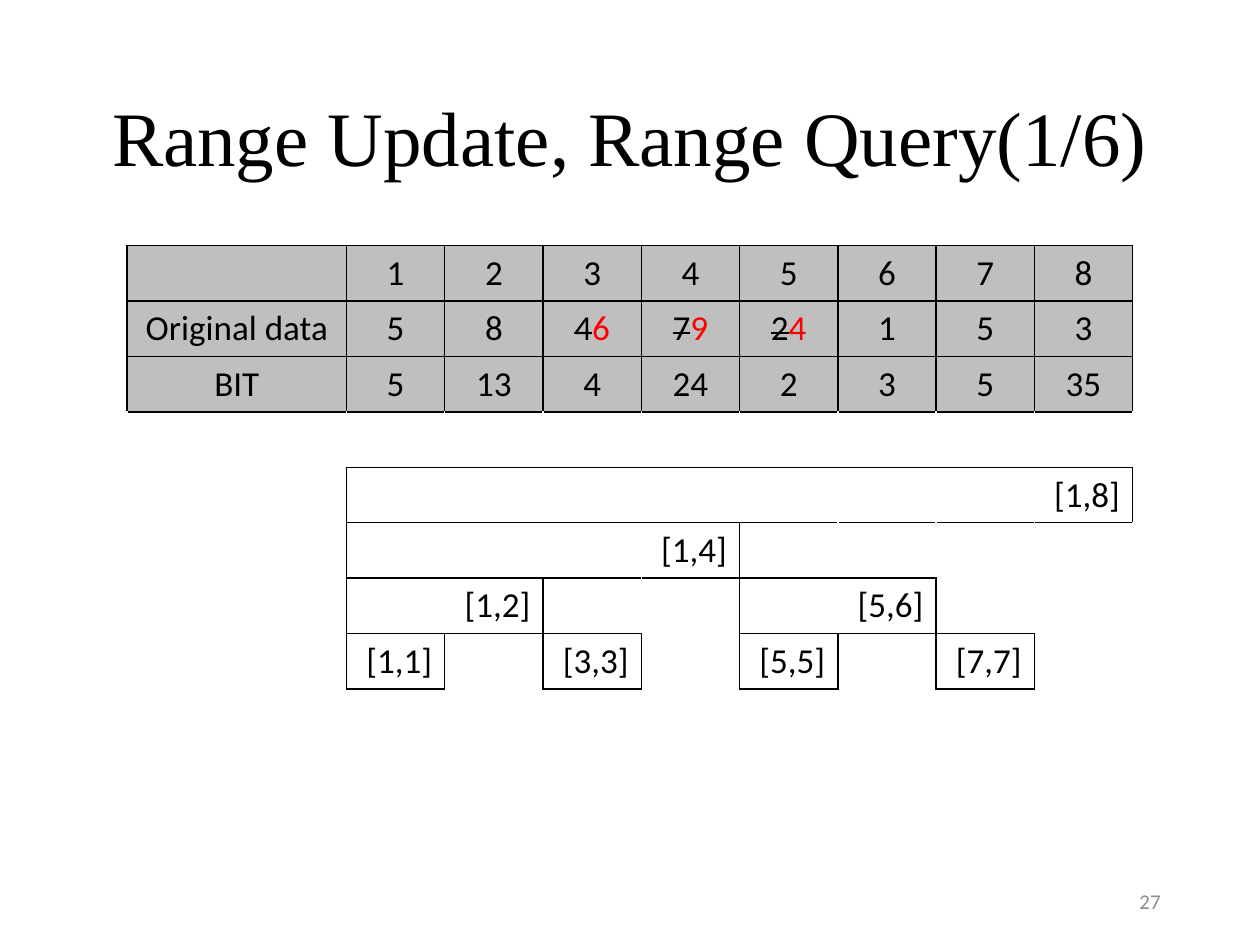
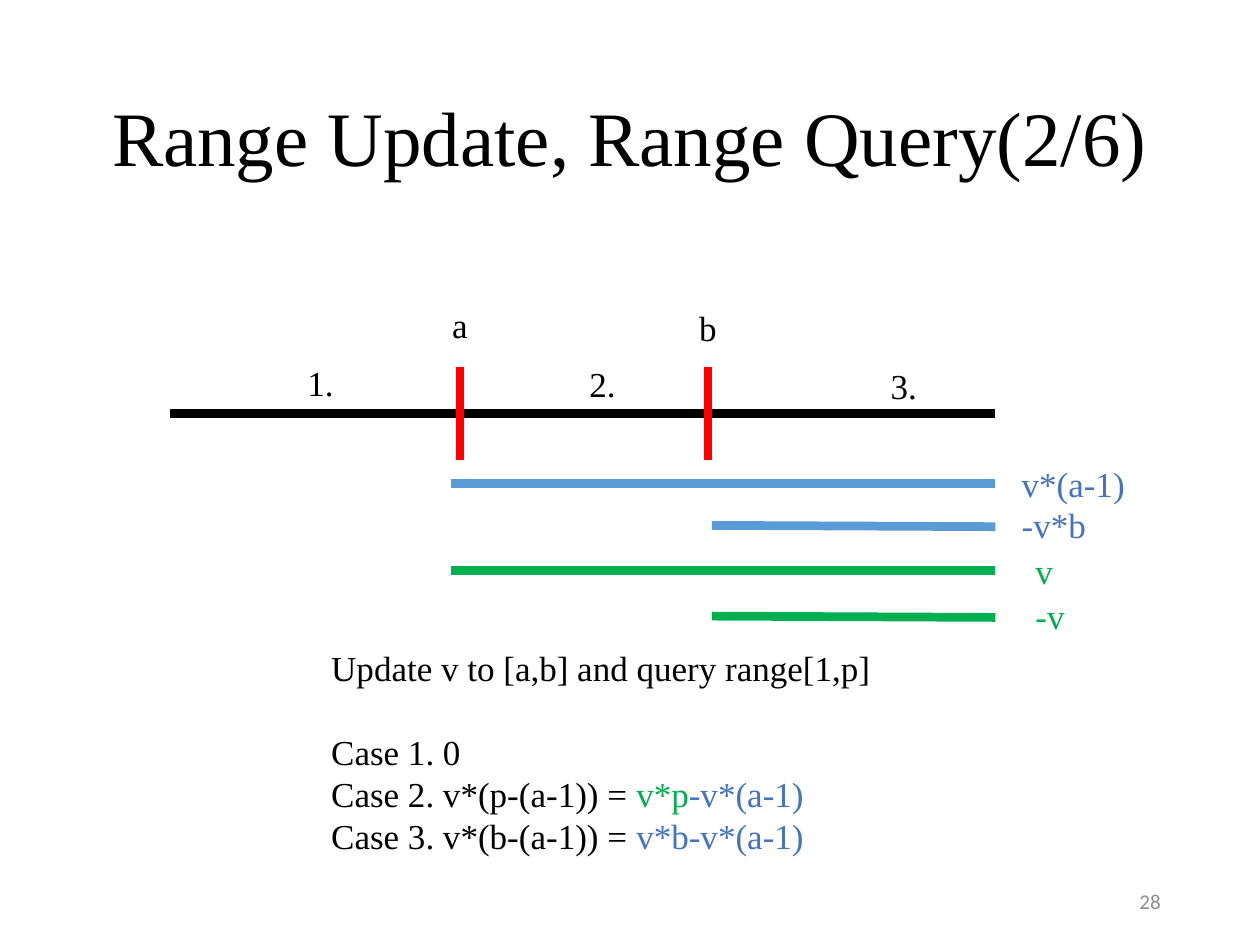
from lxml import etree
from pptx import Presentation
from pptx.dml.color import RGBColor
from pptx.enum.shapes import MSO_CONNECTOR
from pptx.enum.text import MSO_ANCHOR, PP_ALIGN
from pptx.oxml.ns import qn
from pptx.util import Inches, Pt

COLORS = {
    "black": "000000", "white": "FFFFFF", "gray": "BFBFBF", "number": "8C8C8C",
    "red": "FF0000", "sky": "5B9BD5", "blue": "4472C4", "green": "00B050",
}
SERIF, SANS = "Times New Roman", "Calibri"


def add_text(p, text, color="black", size=20, font=SERIF, align=None, strike=False):
    """Append one formatted run to a paragraph."""
    r = p.add_run()
    r.text = text
    r.font.size = Pt(size)
    r.font.name = font
    r.font.color.rgb = RGBColor.from_string(COLORS[color])
    if strike:
        r._r.get_or_add_rPr().set("strike", "sngStrike")
    if align is not None:
        p.alignment = align


def add_border(cell, side, color):
    """Draw one side of a table cell (L, R, T or B)."""
    ln = etree.SubElement(cell._tc.get_or_add_tcPr(), qn(f"a:ln{side}"), w=str(Pt(1)))
    fill = etree.SubElement(ln, qn("a:solidFill"))
    etree.SubElement(fill, qn("a:srgbClr"), val=COLORS[color])


prs = Presentation()
prs.slide_width, prs.slide_height = Inches(10), Inches(7.5)

# Titles and slide numbers
slides = []
for part in (1, 2):
    s = prs.slides.add_slide(prs.slide_layouts[5])
    title = s.shapes.title
    title.left, title.top = Inches(0.69), Inches(0.4)
    title.width, title.height = Inches(8.62), Inches(1.45)
    title.text_frame.vertical_anchor = MSO_ANCHOR.MIDDLE
    p = title.text_frame.paragraphs[0]
    p.line_spacing = 0.9
    add_text(p, f"Range Update, Range Query({part}/6)", size=44, align=PP_ALIGN.CENTER)

    number = s.shapes.add_textbox(Inches(7.06), Inches(6.95), Inches(2.25), Inches(0.4))
    tf = number.text_frame
    tf.word_wrap = True
    tf.vertical_anchor = MSO_ANCHOR.MIDDLE
    add_text(tf.paragraphs[0], str(26 + part), "number", 12, SANS, PP_ALIGN.RIGHT)
    slides.append(s)

# Slide 1: data rows above the tree of intervals
data_rows = [
    ["", "1", "2", "3", "4", "5", "6", "7", "8"],
    ["Original data", "5", "8", "4", "7", "2", "1", "5", "3"],
    ["BIT", "5", "13", "4", "24", "2", "3", "5", "35"],
]
updated = {(1, 3): "6", (1, 4): "9", (1, 5): "4"}
intervals = {
    4: [(1, 8)],
    5: [(1, 4)],
    6: [(1, 2), (5, 6)],
    7: [(1, 1), (3, 3), (5, 5), (7, 7)],
}
n_rows, n_cols = 8, 9
table = slides[0].shapes.add_table(
    n_rows, n_cols, Inches(1.01), Inches(1.95), Inches(7.98), Inches(3.52)).table
table.first_row = table.horz_banding = False
for col in range(n_cols):
    table.columns[col].width = Inches(0.78 if col else 1.74)
for row in table.rows:
    row.height = Inches(0.44)

# Every cell of a data row or an interval is boxed in black
boxed = {(row, col) for row in range(3) for col in range(n_cols)}
for row, spans in intervals.items():
    for first, last in spans:
        boxed.update((row, col) for col in range(first, last + 1))
sides = {"L": (0, -1), "R": (0, 1), "T": (-1, 0), "B": (1, 0)}
for row in range(n_rows):
    for col in range(n_cols):
        cell = table.cell(row, col)
        cell.vertical_anchor = MSO_ANCHOR.MIDDLE
        for side, (down, right) in sides.items():
            edge = {(row, col), (row + down, col + right)}
            add_border(cell, side, "black" if edge & boxed else "white")
        if row < 3:
            cell.fill.solid()
            cell.fill.fore_color.rgb = RGBColor.from_string(COLORS["gray"])
        else:
            cell.fill.background()

for row, values in enumerate(data_rows):
    for col, value in enumerate(values):
        if not value:
            continue
        p = table.cell(row, col).text_frame.paragraphs[0]
        new = updated.get((row, col))
        add_text(p, value, font=SANS, align=PP_ALIGN.CENTER, strike=new is not None)
        if new:
            add_text(p, new, "red", font=SANS)

for row, spans in intervals.items():
    for first, last in spans:
        cell = table.cell(row, first)
        if last > first:
            cell.merge(table.cell(row, last))
        add_text(cell.text_frame.paragraphs[0], f"[{first},{last}]", font=SANS,
                 align=PP_ALIGN.RIGHT)

# Slide 2: number line, cuts at a and b, and the ranges they update
s = slides[1]
lines = [
    (1.35, 3.28, 7.9, 3.28, "black"),
    (3.65, 2.91, 3.65, 3.65, "red"),
    (5.62, 2.91, 5.62, 3.65, "red"),
    (3.58, 3.84, 7.9, 3.84, "sky"),
    (5.65, 4.17, 7.9, 4.18, "sky"),
    (3.58, 4.53, 7.9, 4.53, "green"),
    (5.65, 4.89, 7.9, 4.9, "green"),
]
for x1, y1, x2, y2, color in lines:
    line = s.shapes.add_connector(
        MSO_CONNECTOR.STRAIGHT, Inches(x1), Inches(y1), Inches(x2), Inches(y2))
    line.line.color.rgb = RGBColor.from_string(COLORS[color])
    line.line.width = Pt(5)
    etree.SubElement(line._element.spPr, qn("a:effectLst"))

# Labels and the three cases, each paragraph a list of (text, colour) runs
cases = [
    [("Update v to [a,b] and query range[1,p]", "black")],
    [("Case 1. 0", "black")],
    [("Case 2. v*(p-(a-1)) = ", "black"), ("v*p", "green"), ("-v*(a-1)", "blue")],
    [("Case 3. v*(b-(a-1)) = ", "black"), ("v*b-v*(a-1)", "blue")],
]
texts = [
    (3.49, 2.36, 0.33, 0.44, [[("a", "black")]]),
    (5.45, 2.38, 0.34, 0.44, [[("b", "black")]]),
    (2.34, 2.82, 0.41, 0.44, [[("1.", "black")]]),
    (4.58, 2.83, 0.41, 0.44, [[("2.", "black")]]),
    (6.97, 2.84, 0.41, 0.44, [[("3.", "black")]]),
    (8.01, 3.62, 1.03, 0.44, [[("v*(a-1)", "blue")]]),
    (8.01, 3.95, 0.72, 0.44, [[("-v*b", "blue")]]),
    (8.12, 4.31, 0.34, 0.44, [[("v", "green")]]),
    (8.12, 4.67, 0.44, 0.44, [[("-v", "green")]]),
    (2.53, 5.08, 4.51, 2.12, cases),
]
for x, y, w, h, paragraphs in texts:
    tf = s.shapes.add_textbox(Inches(x), Inches(y), Inches(w), Inches(h)).text_frame
    tf.word_wrap = False
    for i, runs in enumerate(paragraphs):
        p = tf.add_paragraph() if i else tf.paragraphs[0]
        p.line_spacing = Pt(24)
        if i == 1:
            p.space_before = Pt(24)
        for text, color in runs:
            add_text(p, text, color)

prs.save("out.pptx")
